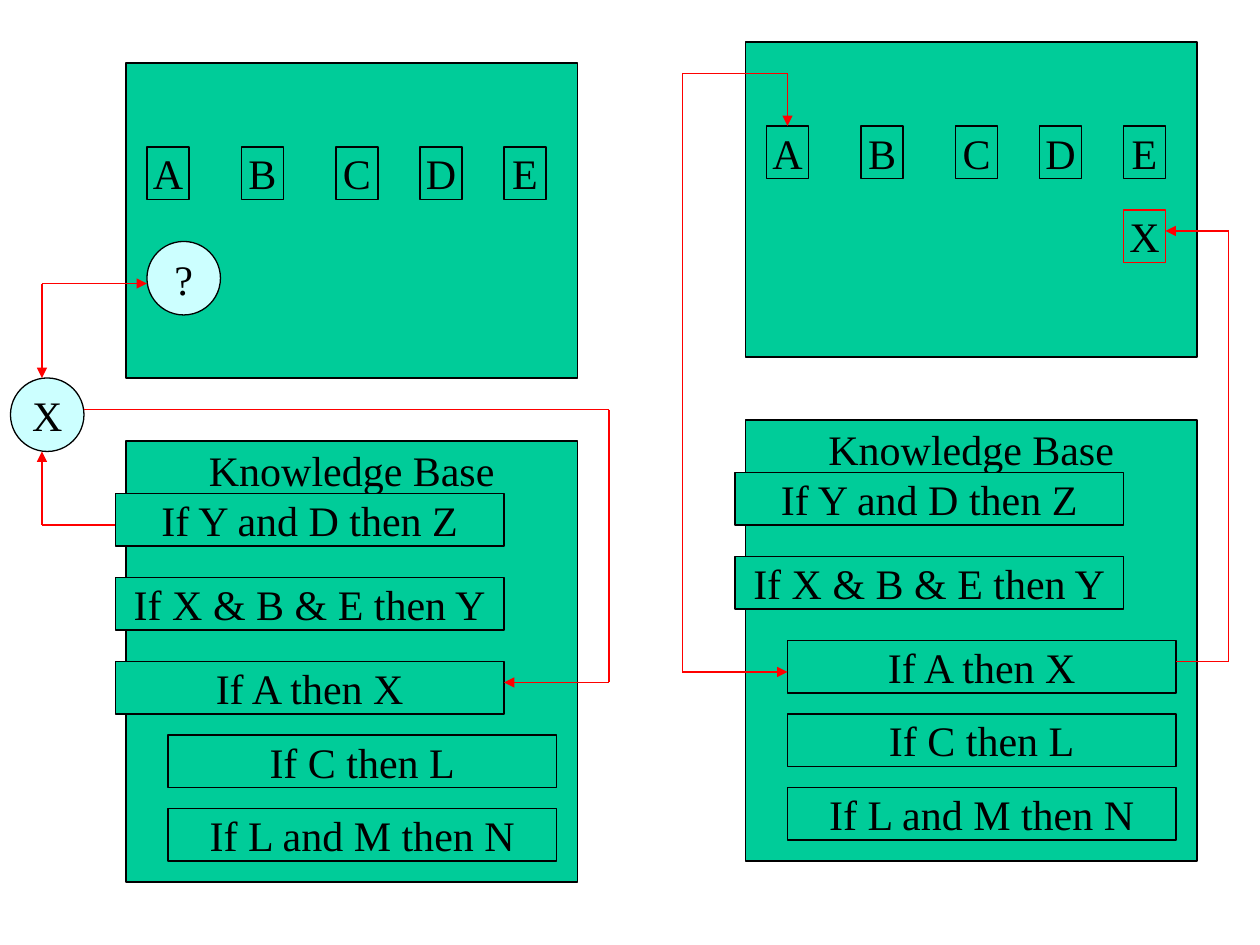
from lxml import etree
from pptx import Presentation
from pptx.dml.color import RGBColor
from pptx.enum.shapes import MSO_CONNECTOR, MSO_SHAPE
from pptx.enum.text import MSO_ANCHOR, PP_ALIGN
from pptx.oxml.ns import qn
from pptx.util import Pt

RECT, OVAL = MSO_SHAPE.RECTANGLE, MSO_SHAPE.OVAL
LINE = MSO_CONNECTOR.STRAIGHT
TOP, MID = MSO_ANCHOR.TOP, MSO_ANCHOR.MIDDLE
CENTER = PP_ALIGN.CENTER
SCALE = 7620
COLORS = {"green": "00CC99", "pale": "CCFFFF", "red": "FF0000", "black": "000000"}
FACTS = {"A": 0, "B": 90, "C": 180, "D": 260, "E": 340}
RULES = [
    ("If Y and D then Z", 470),
    ("If X & B & E then Y", 550),
    ("If A then X", 630),
    ("If C then L", 700),
    ("If L and M then N", 770),
]


def px(n):
    return n * SCALE


def rgb(name):
    return RGBColor.from_string(COLORS[name])


class Deck:
    font = "Times New Roman"
    size = Pt(24)
    width = Pt(0.75)

    def __init__(self, slide):
        self.slide = slide

    def box(self, x, y, w, h, text="", kind=RECT, fill="green", edge="black", anchor=MID):
        shape = self.slide.shapes.add_shape(kind, px(x), px(y), px(w), px(h))
        shape.shadow.inherit = False
        shape.fill.solid()
        shape.fill.fore_color.rgb = rgb(fill)
        shape.line.color.rgb = rgb(edge)
        shape.line.width = self.width
        if text:
            self.label(shape.text_frame, text, anchor)
        return shape

    def label(self, frame, text, anchor):
        frame.word_wrap = False
        frame.vertical_anchor = anchor
        if anchor == TOP:
            frame.margin_top = px(3)
        para = frame.paragraphs[0]
        para.alignment = CENTER
        run = para.add_run()
        run.text = text
        run.font.name = self.font
        run.font.size = self.size
        run.font.color.rgb = rgb("black")

    def link(self, x1, y1, x2, y2, head=False):
        line = self.slide.shapes.add_connector(LINE, px(x1), px(y1), px(x2), px(y2))
        line.line.color.rgb = rgb("red")
        line.line.width = self.width
        props = line._element.spPr
        if head:
            etree.SubElement(props.find(qn("a:ln")), qn("a:tailEnd"), type="triangle")
        etree.SubElement(props, qn("a:effectLst"))
        return line

    def panel(self, x, y, out):
        self.box(x, y, 430, 300)
        self.box(x, y + 360, 430, 420, "Knowledge Base", anchor=TOP)
        facts = {}
        for name, step in FACTS.items():
            facts[name] = self.box(x + 20 + step, y + 80, 40, 50, name)
        for i, (text, top) in enumerate(RULES):
            left = x - 10 if i < out else x + 40
            self.box(left, y + top - 60, 370, 50, text)
        return facts


def main():
    prs = Presentation()
    prs.slide_width, prs.slide_height = px(1200), px(900)
    deck = Deck(prs.slides.add_slide(prs.slide_layouts[6]))

    deck.panel(120, 60, 3)
    deck.box(10, 360, 70, 70, "X", OVAL, "pale")
    deck.box(140, 230, 70, 70, "?", OVAL, "pale")
    deck.link(40, 270, 140, 270, True)
    deck.link(40, 270, 40, 360, True)
    deck.link(40, 500, 40, 430, True)
    deck.link(110, 500, 40, 500)
    deck.link(80, 390, 580, 390)
    deck.link(580, 390, 580, 650)
    deck.link(580, 650, 480, 650, True)

    facts = deck.panel(710, 40, 2)
    deck.link(650, 640, 750, 640, True)
    deck.link(750, 70, 750, 120, True).end_connect(facts["A"], 0)
    deck.link(750, 70, 650, 70)
    deck.link(650, 70, 650, 640)
    deck.box(1070, 200, 40, 50, "X", edge="red")
    deck.link(1170, 220, 1170, 630)
    deck.link(1170, 220, 1110, 220, True)
    deck.link(1170, 630, 1120, 630)

    prs.save("out.pptx")


if __name__ == "__main__":
    main()
